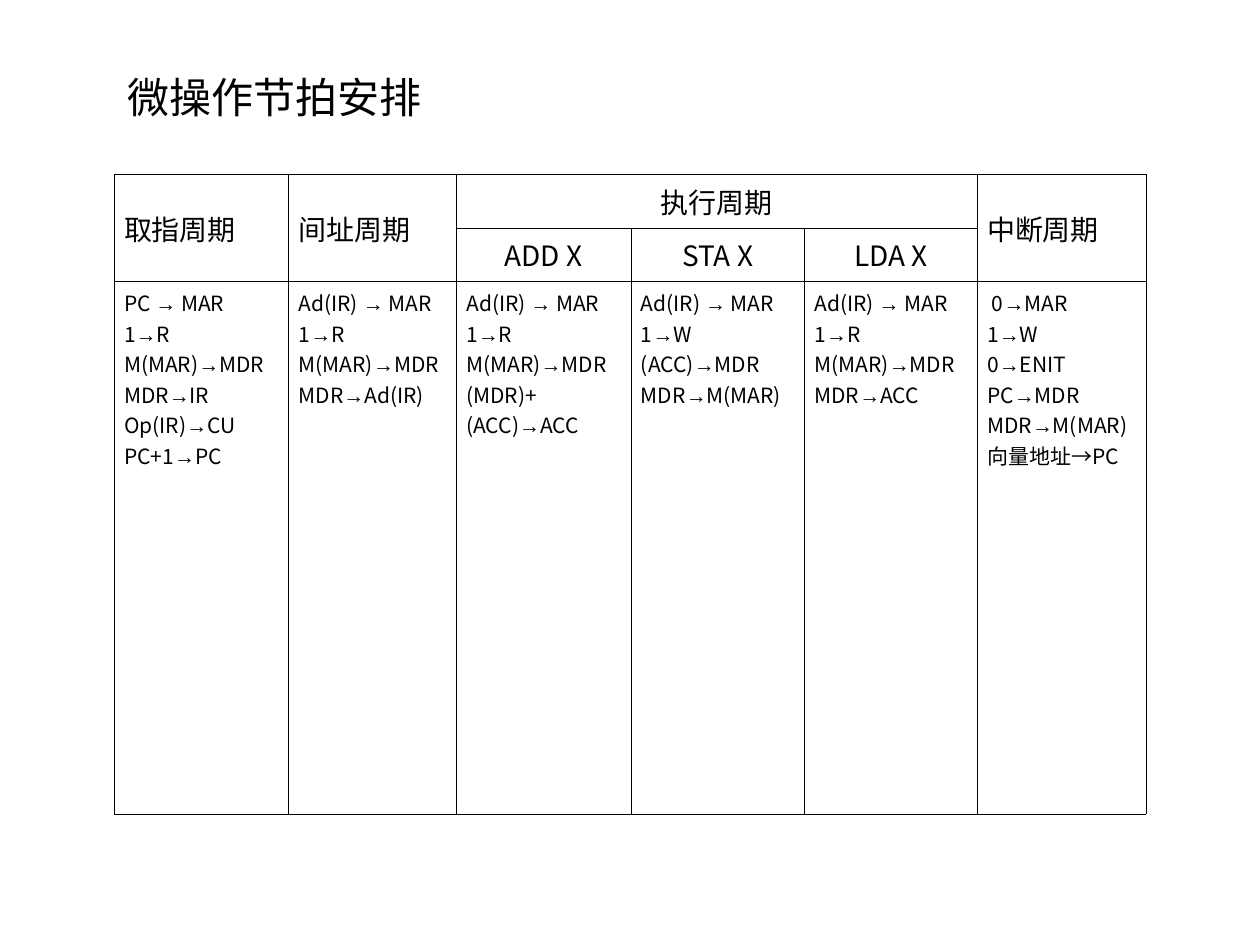
from lxml import etree
from pptx import Presentation
from pptx import util as u
from pptx.dml.color import RGBColor
from pptx.enum import text
from pptx.oxml import ns

# Content
TITLE = "微操作节拍安排"
HEADINGS = [  # row, column, rows spanned, columns spanned, label
    (0, 0, 2, 1, "取指周期"),
    (0, 1, 2, 1, "间址周期"),
    (0, 2, 1, 3, "执行周期"),
    (0, 5, 2, 1, "中断周期"),
    (1, 2, 1, 1, "ADD X"),
    (1, 3, 1, 1, "STA X"),
    (1, 4, 1, 1, "LDA X"),
]
MICRO_OPERATIONS = [
    ["PC → MAR", "1→R", "M(MAR)→MDR", "MDR→IR", "Op(IR)→CU", "PC+1→PC"],
    ["Ad(IR) → MAR", "1→R", "M(MAR)→MDR", "MDR→Ad(IR)"],
    ["Ad(IR) → MAR", "1→R", "M(MAR)→MDR", "(MDR)+(ACC)→ACC"],
    ["Ad(IR) → MAR", "1→W", "(ACC)→MDR", "MDR→M(MAR)"],
    ["Ad(IR) → MAR", "1→R", "M(MAR)→MDR", "MDR→ACC"],
    [" 0→MAR", "1→W", "0→ENIT", "PC→MDR", "MDR→M(MAR)", "向量地址→PC"],
]

# Format
BLACK = RGBColor(0, 0, 0)
FONT, ARROW, ARROW_FONT = "Noto Sans CJK SC", "→", "Arial"
COLUMN_WIDTHS = [3.52, 3.38, 3.52, 3.5, 3.48, 3.4]
ROW_HEIGHTS = [0.94, 0.94, 10.74]
BORDER_WIDTH = u.Pt(0.45)
CELL_FORMAT = {
    "margin_left": u.Cm(0.2), "margin_right": u.Cm(0.2),
    "margin_top": u.Cm(0.13), "margin_bottom": u.Cm(0.13),
}


def add_run(paragraph, words, size, font=FONT):
    run = paragraph.add_run()
    run.text = words
    for name, value in {"name": font, "size": u.Pt(size)}.items():
        setattr(run.font, name, value)
    run.font.color.rgb = BLACK
    etree.SubElement(run.font._element, ns.qn("a:ea"), typeface=FONT)


def add_borders(cell):
    properties = cell._tc.get_or_add_tcPr()
    for index, side in enumerate(("lnL", "lnR", "lnT", "lnB")):
        line = etree.Element(ns.qn(f"a:{side}"), w=str(BORDER_WIDTH))
        fill = etree.SubElement(line, ns.qn("a:solidFill"))
        etree.SubElement(fill, ns.qn("a:srgbClr"), val=str(BLACK))
        properties.insert(index, line)


prs = Presentation()
prs.slide_width, prs.slide_height = u.Cm(25.4), u.Cm(19.05)
slide = prs.slides.add_slide(prs.slide_layouts[6])

# Cycle table
cycles = slide.shapes.add_table(
    len(ROW_HEIGHTS), len(COLUMN_WIDTHS), u.Cm(2.3), u.Cm(3.52),
    u.Cm(sum(COLUMN_WIDTHS)), u.Cm(sum(ROW_HEIGHTS))).table
for column, width in zip(cycles.columns, COLUMN_WIDTHS):
    column.width = u.Cm(width)
for row, height in zip(cycles.rows, ROW_HEIGHTS):
    row.height = u.Cm(height)
for cell in cycles.iter_cells():
    for name, value in CELL_FORMAT.items():
        setattr(cell, name, value)
    cell.fill.background()
    add_borders(cell)

# Headings: those over or under the execution cycle are centred
for row, column, rows, columns, label in HEADINGS:
    cell = cycles.cell(row, column)
    if rows * columns > 1:
        cell.merge(cycles.cell(row + rows - 1, column + columns - 1))
    cell.vertical_anchor = text.MSO_ANCHOR.MIDDLE
    heading = cell.text_frame.paragraphs[0]
    heading.alignment = text.PP_ALIGN.JUSTIFY if rows > 1 else text.PP_ALIGN.CENTER
    add_run(heading, label, 16)

# Micro-operations, one paragraph each
for column, operations in enumerate(MICRO_OPERATIONS):
    frame = cycles.cell(2, column).text_frame
    for index, operation in enumerate(operations):
        step = frame.add_paragraph() if index else frame.paragraphs[0]
        step.alignment = text.PP_ALIGN.JUSTIFY
        origin, target = operation.split(ARROW)
        add_run(step, origin, 12)
        add_run(step, ARROW, 12, ARROW_FONT)
        add_run(step, target, 12)

# Title
title = slide.shapes.add_textbox(u.Cm(2.32), u.Cm(1.32), u.Cm(14.17), u.Cm(1.27)).text_frame
title.word_wrap = True
add_run(title.paragraphs[0], TITLE, 24)

prs.save("out.pptx")
